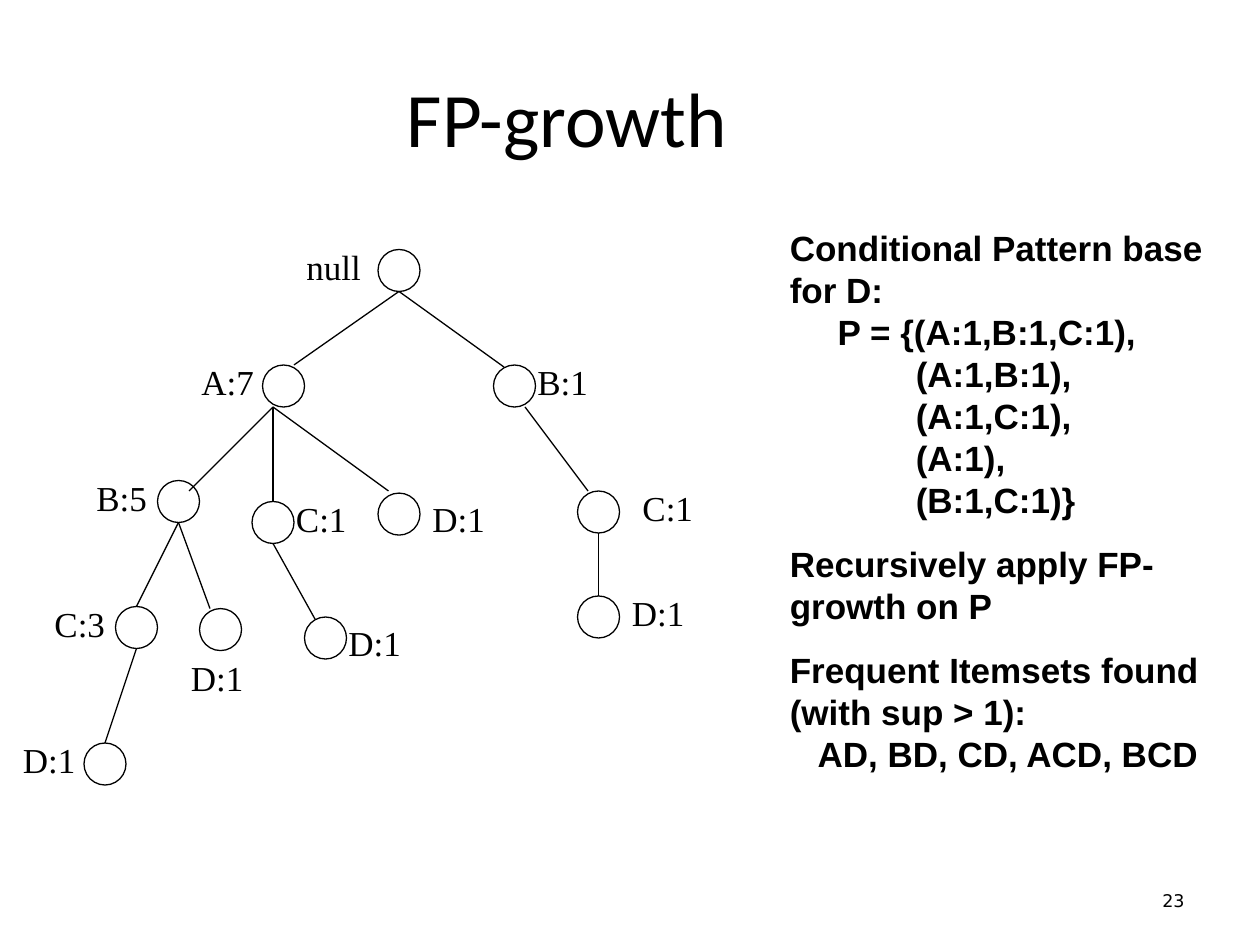
from dataclasses import dataclass
from typing import NamedTuple

from lxml.etree import SubElement
from pptx import Presentation
from pptx.dml.color import RGBColor
from pptx.enum.shapes import MSO_CONNECTOR as Connector, MSO_SHAPE as Shape
from pptx.enum.text import MSO_ANCHOR as Anchor, PP_ALIGN as Align
from pptx.oxml.ns import qn
from pptx.util import Inches, Pt


@dataclass(frozen=True)
class Theme:
    ink: RGBColor = RGBColor(0, 0, 0)
    title_font: str = "Calibri"
    label_font: str = "Times New Roman"
    pattern_font: str = "Arial"
    number_font: str = "DejaVu Sans"
    title_size: int = 44
    body_size: int = 20
    number_size: int = 10
    line: float = 0.75
    gap: float = 12.5


class Box(NamedTuple):
    left: float
    top: float
    width: float
    height: float

    def emu(self):
        return [Inches(v) for v in self]


class Node(NamedTuple):
    """Circle at a grid cell; label is an offset, enter is where its edge ends."""
    col: float
    row: float
    text: str
    label: tuple
    parent: str = ""
    enter: tuple = (2, 0)
    leave: float = 2


THEME = Theme()
COLS = 72
CIRCLE = 4
LABEL_SIZE = (8, 5.3)

NODES = {
    "root": Node(36, 0, "null", (-8, -1)),
    "a": Node(25, 11, "A:7", (-7, -1), "root", (3, 0), leave=1),
    "b": Node(47, 11, "B:1", (3, -1), "root", (1, 0.2), leave=3),
    "ab": Node(15, 22, "B:5", (-7, -1), "a", (3, 1)),
    "ac": Node(24, 24, "C:1", (3, -1), "a"),
    "ad": Node(36, 23.2, "D:1", (4, -0.2), "a", (1, -0.2)),
    "bc": Node(55, 23, "C:1", (5, -1), "b", (1, 0)),
    "abc": Node(11, 34, "C:3", (-7, -1), "ab"),
    "abd": Node(19, 34.2, "D:1", (-2, 4), "ab", (1, 0)),
    "acd": Node(29, 35, "D:1", (3, -0.2), "ac", (1, 0.2)),
    "bcd": Node(55, 33, "D:1", (4, -1), "bc"),
    "abcd": Node(8, 47, "D:1", (-7, -1), "abc"),
}

# Each line: indent in inches, text
PATTERNS = [
    [(0, "Conditional Pattern base for D:"), (0.38, "P = {(A:1,B:1,C:1),"),
     (1, "(A:1,B:1),"), (1, "(A:1,C:1),"), (1, "(A:1),"), (1, "(B:1,C:1)}")],
    [(0, "Recursively apply FP-growth on P")],
    [(0, "Frequent Itemsets found (with sup > 1):"),
     (0.22, "AD, BD, CD, ACD, BCD")],
]


def style(p, font, size, bold=False):
    for r in p.runs:
        r.font.name, r.font.size, r.font.bold = font, Pt(size), bold
        r.font.color.rgb = THEME.ink


def add_text(slide, box, text, font, size):
    tf = slide.shapes.add_textbox(*box.emu()).text_frame
    tf.word_wrap = True
    tf.text = text
    style(tf.paragraphs[0], font, size)
    return tf


def add_title(slide, box, text):
    sp = slide.shapes.title
    sp.left, sp.top, sp.width, sp.height = box.emu()
    tf = sp.text_frame
    tf.text = text
    tf.vertical_anchor = Anchor.MIDDLE
    tf.paragraphs[0].alignment = Align.CENTER
    style(tf.paragraphs[0], THEME.title_font, THEME.title_size)


def add_edge(slide, start, end):
    line = slide.shapes.add_connector(
        Connector.STRAIGHT, *(Inches(v) for v in (*start, *end)))
    line.line.color.rgb = THEME.ink
    line.line.width = Pt(THEME.line)
    SubElement(line._element.spPr, qn("a:effectLst"))


def add_circle(slide, box):
    sp = slide.shapes.add_shape(Shape.OVAL, *box.emu())
    sp.shadow.inherit = False
    sp.fill.background()
    sp.line.color.rgb = THEME.ink
    sp.line.width = Pt(THEME.line)


def add_tree(slide, box):
    unit = box.width / COLS

    def point(node, dx, dy):
        return (box.left + (node.col + dx) * unit,
                box.top + (node.row + dy) * unit)

    for node in NODES.values():
        if node.parent:
            parent = NODES[node.parent]
            add_edge(slide, point(parent, parent.leave, CIRCLE),
                     point(node, *node.enter))
        add_circle(slide, Box(*point(node, 0, 0), CIRCLE * unit, CIRCLE * unit))
        label = Box(*point(node, *node.label), *(n * unit for n in LABEL_SIZE))
        add_text(slide, label, node.text, THEME.label_font, THEME.body_size)


def add_patterns(slide, box):
    tf = slide.shapes.add_textbox(*box.emu()).text_frame
    tf.word_wrap = True
    for i, group in enumerate(PATTERNS):
        for j, (indent, text) in enumerate(group):
            first = i == j == 0
            p = tf.paragraphs[0] if first else tf.add_paragraph()
            p.text = text
            p._p.get_or_add_pPr().set("marL", str(Inches(indent)))
            if j == 0 and not first:
                p.space_before = Pt(THEME.gap)
            style(p, THEME.pattern_font, THEME.body_size, bold=True)


def add_slide_number(slide, box, text):
    tf = add_text(slide, box, text, THEME.number_font, THEME.number_size)
    tf.vertical_anchor = Anchor.MIDDLE
    tf.paragraphs[0].alignment = Align.RIGHT


def main():
    prs = Presentation()
    prs.slide_width, prs.slide_height = Inches(10), Inches(7.5)
    slide = prs.slides.add_slide(prs.slide_layouts[5])
    add_title(slide, Box(0, 0.3, 9, 1.25), "FP-growth")
    add_tree(slide, Box(0, 1.98, 6, 4.25))
    add_patterns(slide, Box(6.17, 1.75, 3.67, 4.45))
    add_slide_number(slide, Box(7.17, 6.95, 2.33, 0.4), "23")
    prs.save("out.pptx")


if __name__ == "__main__":
    main()
